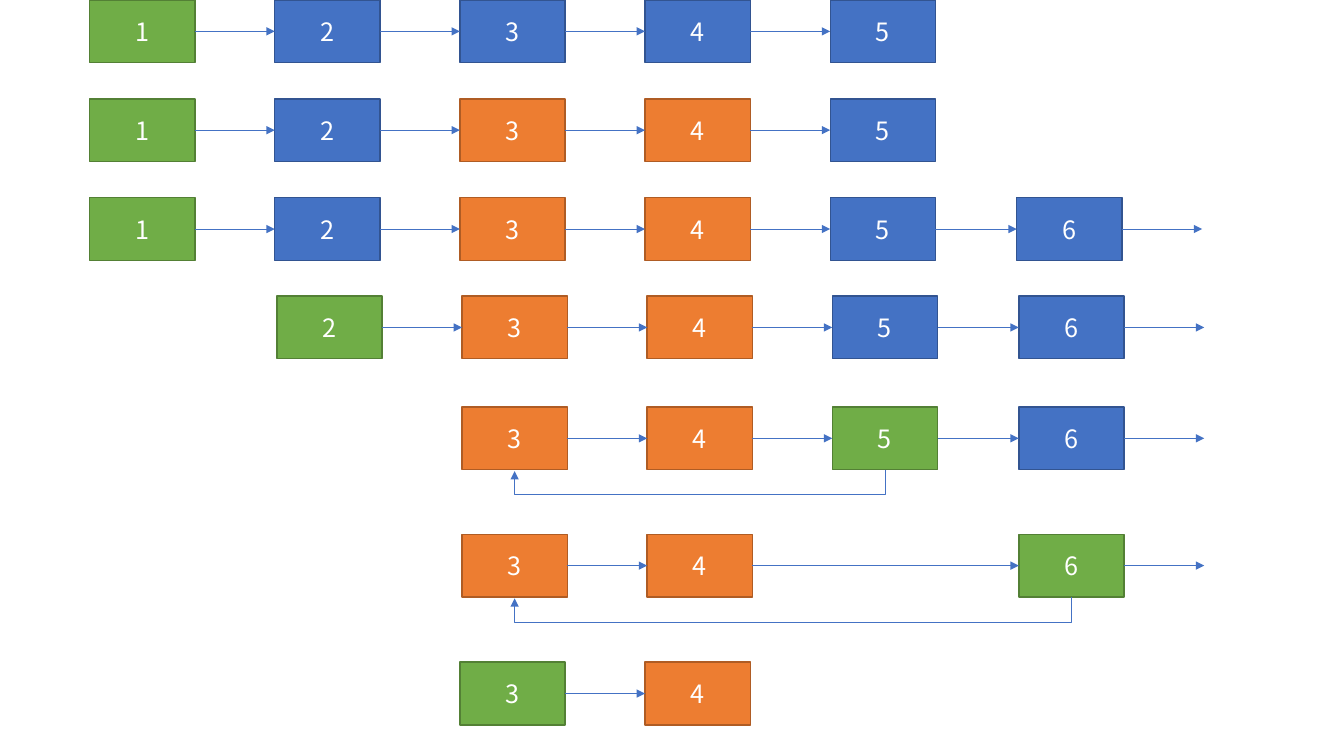
from collections import namedtuple

from lxml import etree
from pptx import Presentation
from pptx.dml.color import RGBColor
from pptx.enum.shapes import MSO_CONNECTOR as Connector, MSO_SHAPE as Shape
from pptx.enum.text import MSO_ANCHOR as Anchor, PP_ALIGN as Align
from pptx.oxml.ns import qn
from pptx.util import Pt

# Palette: (fill, outline) for each role of a node
BLUE = RGBColor(0x44, 0x72, 0xC4)
BLUE_EDGE = RGBColor(0x32, 0x54, 0x91)
GREEN = RGBColor(0x70, 0xAD, 0x47)
GREEN_EDGE = RGBColor(0x53, 0x80, 0x35)
ORANGE = RGBColor(0xED, 0x7D, 0x31)
ORANGE_EDGE = RGBColor(0xAF, 0x5C, 0x24)
WHITE = RGBColor(0xFF, 0xFF, 0xFF)
WAITING, CURRENT, CHOSEN = (BLUE, BLUE_EDGE), (GREEN, GREEN_EDGE), (ORANGE, ORANGE_EDGE)

# Grid, in points
FIRST_LEFT, PITCH = 64, 132.25
NODE_WIDTH, NODE_HEIGHT = 75.2, 44.8
LAST_NODE, LAST_NUDGE = 6, 1
NEXT_LENGTH = 57.2
RETURN_DROP = 18

# One list state: current is the green node, chosen are the orange ones
State = namedtuple("State", "top shift nodes current chosen has_next returns")
STATES = [
    State(0, 0, (1, 2, 3, 4, 5), 1, (), False, False),
    State(70.6, 0, (1, 2, 3, 4, 5), 1, (3, 4), False, False),
    State(141.2, 0, (1, 2, 3, 4, 5, 6), 1, (3, 4), True, False),
    State(211.5, 1.5, (2, 3, 4, 5, 6), 2, (3, 4), True, False),
    State(290.7, 1.5, (3, 4, 5, 6), 5, (3, 4), True, True),
    State(381.6, 1.5, (3, 4, 6), 6, (3, 4), True, True),
    State(473, 0, (3, 4), 3, (4,), False, False),
]


class ListDiagram:
    font_name = "Noto Sans CJK SC"
    font_size = Pt(18)
    edge_width = Pt(1)
    arrow_width = Pt(0.5)

    def __init__(self, slide):
        self.shapes = slide.shapes

    def node(self, number, left, top, role):
        box = self.shapes.add_shape(
            Shape.RECTANGLE, Pt(left), Pt(top), Pt(NODE_WIDTH), Pt(NODE_HEIGHT))
        box.shadow.inherit = False
        fill, edge = role
        box.fill.solid()
        box.fill.fore_color.rgb = fill
        box.line.color.rgb = edge
        box.line.width = self.edge_width
        box.text_frame.vertical_anchor = Anchor.MIDDLE
        label = box.text_frame.paragraphs[0]
        label.text = str(number)
        label.alignment = Align.CENTER
        label.font.name = self.font_name
        label.font.size = self.font_size
        label.font.color.rgb = WHITE
        return box

    def arrow(self, kind, x1, y1, x2, y2):
        link = self.shapes.add_connector(kind, Pt(x1), Pt(y1), Pt(x2), Pt(y2))
        link.line.color.rgb = BLUE
        link.line.width = self.arrow_width
        outline = link.line._get_or_add_ln()
        etree.SubElement(outline, qn("a:tailEnd"), type="triangle")
        etree.SubElement(link._element.spPr, qn("a:effectLst"))
        return link

    def next_arrow(self, source, target=None):
        x = (source.left + source.width).pt if hasattr(source.left + source.width, "pt") \
            else (source.left + source.width) / Pt(1)
        y = (source.top + source.height / 2) / Pt(1)
        end = target.left / Pt(1) if target else x + NEXT_LENGTH
        link = self.arrow(Connector.STRAIGHT, x, y, end, y)
        link.begin_connect(source, 3)
        if target:
            link.end_connect(target, 1)

    def return_arrow(self, source, target):
        """Loop below the row: a 1 pt wide elbow turned by 90 degrees."""
        start, end = ((box.left + box.width / 2) / Pt(1) for box in (source, target))
        bottom = (source.top + source.height) / Pt(1)
        middle, half = (start + end) / 2, (start - end) / 2
        center = bottom + 0.5
        link = self.arrow(Connector.ELBOW, middle - 0.5, center - half,
                          middle + 0.5, center + half)
        link._element.spPr.find(qn("a:xfrm")).set("rot", str(90 * 60000))
        adjustments = link._element.spPr.find(qn("a:prstGeom")).get_or_add_avLst()
        etree.SubElement(adjustments, qn("a:gd"), name="adj1",
                         fmla=f"val {RETURN_DROP * 100000}")

    def state(self, state):
        boxes = {}
        for number in state.nodes:
            left = FIRST_LEFT + state.shift + (number - 1) * PITCH
            if number == LAST_NODE:
                left += LAST_NUDGE
            role = (CURRENT if number == state.current
                    else CHOSEN if number in state.chosen else WAITING)
            boxes[number] = self.node(number, left, state.top, role)
        for number, following in zip(state.nodes, state.nodes[1:]):
            self.next_arrow(boxes[number], boxes[following])
        if state.has_next:
            self.next_arrow(boxes[state.nodes[-1]])
        if state.returns:
            self.return_arrow(boxes[state.current], boxes[state.chosen[0]])


def main():
    deck = Presentation()
    deck.slide_width, deck.slide_height = Pt(960), Pt(540)
    blank_layout = deck.slide_layouts[6]
    diagram = ListDiagram(deck.slides.add_slide(blank_layout))

    # Rows of the list, from the start to the final pair
    for state in STATES:
        diagram.state(state)

    deck.save("out.pptx")


if __name__ == "__main__":
    main()
